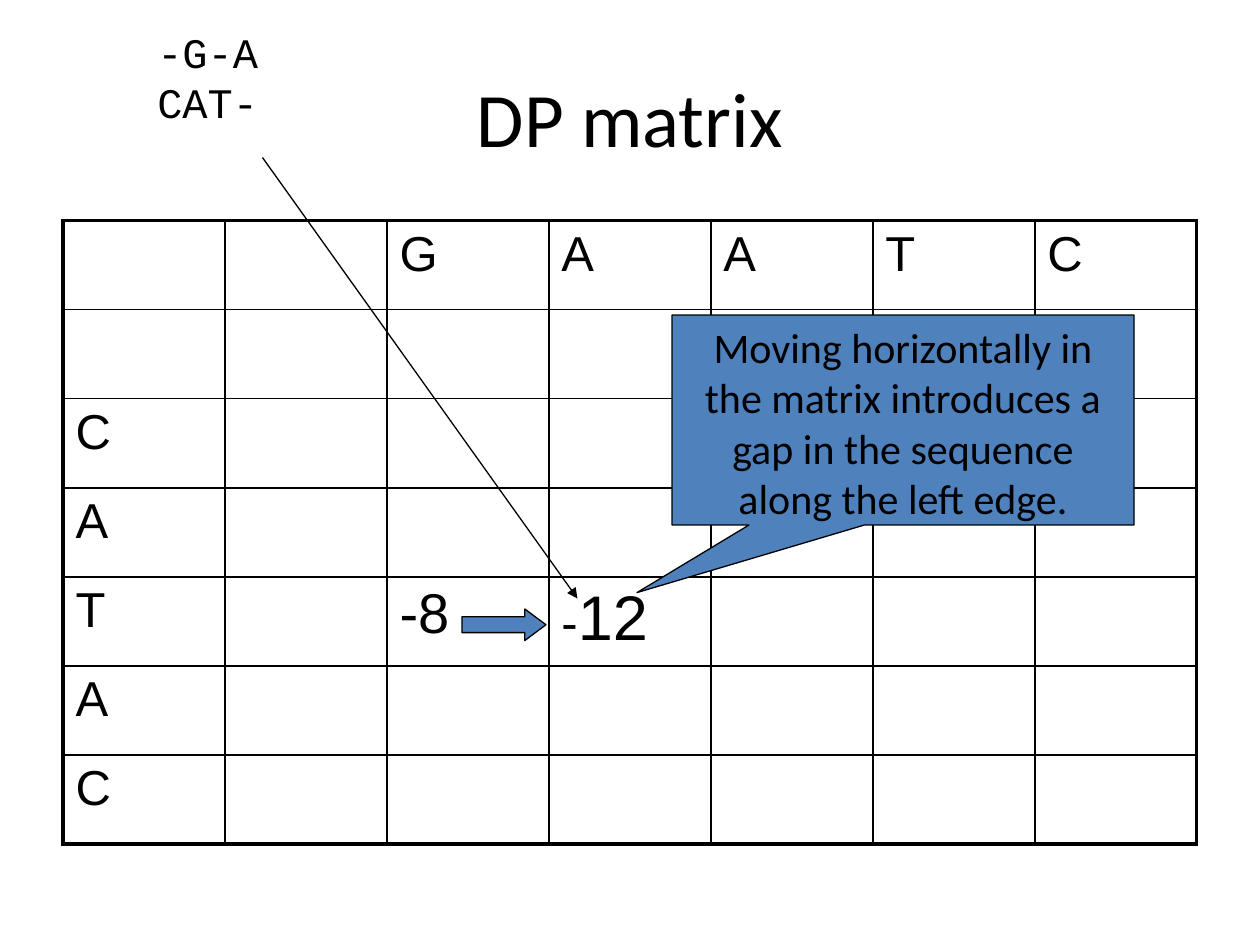
from lxml.etree import SubElement
from pptx import Presentation
from pptx.dml.color import RGBColor as RGB
from pptx.enum.shapes import MSO_CONNECTOR as CONN, MSO_SHAPE as SHAPE
from pptx.enum.text import MSO_ANCHOR as ANCHOR, PP_ALIGN as ALIGN
from pptx.oxml.ns import qn
from pptx.util import Pt

COLORS = {"ink": "000000", "blue": "4F81BD"}
THIN, THICK = 1, 2.25
N = 7


def add_run(p, text, size, font):
    r = p.add_run()
    r.text = text
    r.font.size = Pt(size)
    r.font.name = font
    r.font.color.rgb = RGB.from_string(COLORS["ink"])


def add_filled(kind, left, top, width, height, adjustments):
    sp = s.shapes.add_shape(kind, Pt(left), Pt(top), Pt(width), Pt(height))
    for i, value in enumerate(adjustments):
        sp.adjustments[i] = value
    sp.shadow.inherit = False
    sp.fill.solid()
    sp.fill.fore_color.rgb = RGB.from_string(COLORS["blue"])
    sp.line.color.rgb = RGB.from_string(COLORS["ink"])
    sp.line.width = Pt(0.75)
    return sp


prs = Presentation()
prs.slide_width, prs.slide_height = Pt(720), Pt(540)
s = prs.slides.add_slide(prs.slide_layouts[6])

title = s.shapes.add_textbox(Pt(36), Pt(21.6), Pt(648), Pt(90))
tf = title.text_frame
tf.word_wrap = True
tf.vertical_anchor = ANCHOR.MIDDLE
tf.paragraphs[0].alignment = ALIGN.CENTER
add_run(tf.paragraphs[0], "DP matrix", 44, "Calibri")

matrix = s.shapes.add_table(N, N, Pt(36), Pt(126), Pt(648), Pt(356.4)).table
matrix.first_row = matrix.horz_banding = False
for col in matrix.columns:
    col.width = Pt(648 / N)
for row in matrix.rows:
    row.height = Pt(356.4 / N)

entries = {(0, i + 2): [(base, 28)] for i, base in enumerate("GAATC")}
entries.update({(i + 2, 0): [(base, 28)] for i, base in enumerate("CATAC")})
entries[4, 2] = [("-8", 32)]
entries[4, 3] = [("-", 28), ("12", 36)]

for row in range(N):
    for col in range(N):
        cell = matrix.cell(row, col)
        tcPr = cell._tc.get_or_add_tcPr()
        outer = {"lnL": col == 0, "lnR": col == N - 1, "lnT": row == 0, "lnB": row == N - 1}
        for side, is_outer in outer.items():
            width = Pt(THICK if is_outer else THIN)
            ln = SubElement(tcPr, qn(f"a:{side}"), w=str(width))
            fill = SubElement(ln, qn("a:solidFill"))
            SubElement(fill, qn("a:srgbClr"), val=COLORS["ink"])
        cell.fill.background()
        for text, size in entries.get((row, col), []):
            add_run(cell.text_frame.paragraphs[0], text, size, "Arial")

add_filled(SHAPE.RIGHT_ARROW, 264, 348, 48, 18, [0.5, 0.67])

callout = add_filled(SHAPE.RECTANGULAR_CALLOUT, 384, 180, 264, 120, [-0.576, 0.822])
tf = callout.text_frame
tf.word_wrap = True
tf.vertical_anchor = ANCHOR.TOP
p = tf.paragraphs[0]
p.alignment = ALIGN.CENTER
add_run(p, "Moving horizontally in the matrix introduces a gap in the sequence along the left edge.",
        24, "Calibri")

alignment = s.shapes.add_textbox(Pt(82.8), Pt(11.5), Pt(72), Pt(64.8))
tf = alignment.text_frame
tf.word_wrap = False
add_run(tf.paragraphs[0], "-G-A", 24, "Courier New")
add_run(tf.add_paragraph(), "CAT-", 24, "Courier New")

pointer = s.shapes.add_connector(CONN.STRAIGHT, Pt(150), Pt(90), Pt(330), Pt(342))
pointer.line.color.rgb = RGB.from_string(COLORS["ink"])
pointer.line.width = Pt(0.75)
SubElement(pointer.line._get_or_add_ln(), qn("a:tailEnd"), type="triangle")
SubElement(pointer._element.spPr, qn("a:effectLst"))

prs.save("out.pptx")
